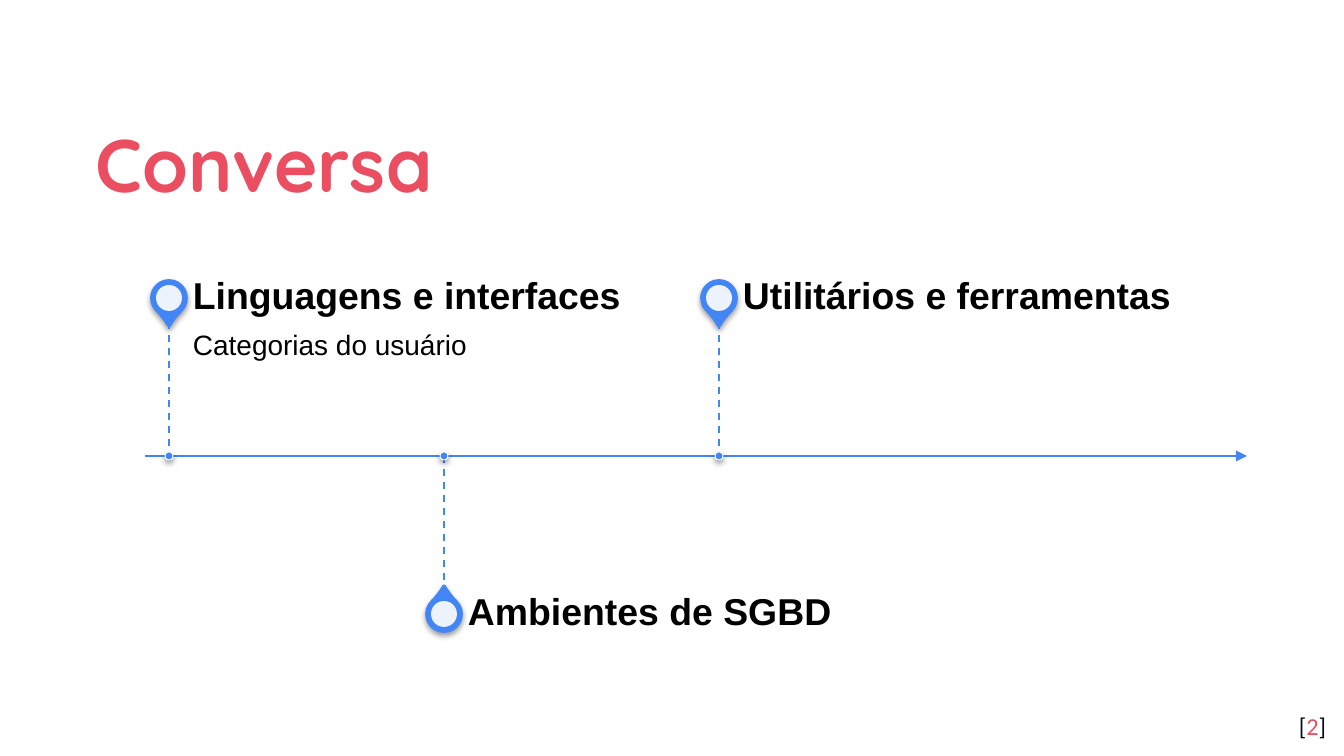
from dataclasses import dataclass

from lxml import etree
from pptx import Presentation
from pptx.dml.color import RGBColor
from pptx.enum.dml import MSO_LINE
from pptx.enum.shapes import MSO_CONNECTOR, MSO_SHAPE
from pptx.enum.text import MSO_ANCHOR, PP_ALIGN
from pptx.oxml.ns import qn
from pptx.util import Emu, Pt

PX = 9144000 / 1344
DASH = MSO_LINE.DASH
STRAIGHT = MSO_CONNECTOR.STRAIGHT
TEARDROP, OVAL = MSO_SHAPE.TEAR, MSO_SHAPE.OVAL
TOP, MIDDLE = MSO_ANCHOR.TOP, MSO_ANCHOR.MIDDLE
LEFT, RIGHT = PP_ALIGN.LEFT, PP_ALIGN.RIGHT


@dataclass(frozen=True)
class Theme:
    """Colours, fonts and type sizes of the slide."""
    accent: str = "EA4E60"
    blue: str = "4285F4"
    white: str = "FFFFFF"
    black: str = "000000"
    navy: str = "040A24"
    title_font: str = "Quicksand"
    body_font: str = "Arial"
    number_font: str = "Calibri"
    title_size: int = 40
    heading_size: int = 20
    detail_size: int = 15
    number_size: int = 13


THEME = Theme()


def px(value):
    """Turn pixels into EMU."""
    return Emu(round(value * PX))


def color(code):
    """Turn a hex code into a colour."""
    return RGBColor.from_string(code)


def add_text(slide, box, runs, font, size, bold=False, align=LEFT,
             anchor=TOP, insets=(13, 13, 13, 13), spacing=1.0):
    """Add a one-paragraph text box from (text, colour) runs."""
    shape = slide.shapes.add_textbox(*map(px, box))
    frame = shape.text_frame
    frame.word_wrap = True
    frame.vertical_anchor = anchor
    (frame.margin_left, frame.margin_top,
     frame.margin_right, frame.margin_bottom) = map(px, insets)
    paragraph = frame.paragraphs[0]
    paragraph.alignment = align
    paragraph.line_spacing = spacing
    paragraph.font.name = font
    paragraph.font.size = Pt(size)
    paragraph.font.bold = bold
    for text, code in runs:
        run = paragraph.add_run()
        run.text = text
        run.font.color.rgb = color(code)


def add_line(slide, start, end, width, dash=None, arrow=False):
    """Add a blue straight line without a shadow."""
    connector = slide.shapes.add_connector(
        STRAIGHT, *map(px, start), *map(px, end))
    connector.line.color.rgb = color(THEME.blue)
    connector.line.width = Pt(width)
    if dash:
        connector.line.dash_style = dash
    if arrow:
        etree.SubElement(connector.line._get_or_add_ln(), qn("a:tailEnd"),
                         type="triangle")
    etree.SubElement(connector._element.spPr, qn("a:effectLst"))


def add_round(slide, kind, center, size, fill, outline=None, width=0):
    """Add a filled shape of equal sides around a centre."""
    x, y = center
    shape = slide.shapes.add_shape(
        kind, px(x - size / 2), px(y - size / 2), px(size), px(size))
    shape.shadow.inherit = False
    shape.fill.solid()
    shape.fill.fore_color.rgb = color(fill)
    if outline:
        shape.line.color.rgb = color(outline)
        shape.line.width = Pt(width)
    else:
        shape.line.fill.background()
    return shape


def add_shadow(shape):
    """Give a shape a soft shadow straight below it."""
    effects = shape._element.spPr.find(qn("a:effectLst"))
    shadow = etree.SubElement(
        effects, qn("a:outerShdw"), blurRad=str(Pt(3.1)), dist=str(Pt(1.6)),
        dir="5400000", algn="bl", rotWithShape="0")
    tint = etree.SubElement(shadow, qn("a:srgbClr"), val=THEME.black)
    etree.SubElement(tint, qn("a:alpha"), val="38000")


def set_opacity(shape, percent):
    """Make the solid fill of a shape partly transparent."""
    tint = shape._element.spPr.find(qn("a:solidFill")).find(qn("a:srgbClr"))
    etree.SubElement(tint, qn("a:alpha"), val=str(percent * 1000))


def add_title(slide, box):
    """Place the slide title."""
    add_text(slide, box, [("Conversa", THEME.accent)], THEME.title_font,
             THEME.title_size, bold=True, anchor=MIDDLE, spacing=1.15)


def add_page_number(slide, box):
    """Place the bracketed page number."""
    runs = [("[", THEME.navy), ("2", THEME.accent), ("]", THEME.navy)]
    add_text(slide, box, runs, THEME.number_font, THEME.number_size,
             align=RIGHT)


def add_stop(slide, x, axis_y, above, heading, detail):
    """Place a pin with its texts, stem and dot on the axis."""
    side = -1 if above else 1
    pin_y = axis_y + side * 158
    text_left = x + 24
    pin = add_round(slide, TEARDROP, (x, pin_y), 34, THEME.blue,
                    THEME.blue, 2)
    pin.adjustments[0] = 1.15
    pin.rotation = 135 if above else 315
    add_shadow(pin)
    set_opacity(add_round(slide, OVAL, (x, pin_y), 26, THEME.white), 90)
    if detail:
        add_text(slide, (text_left, pin_y + 23, 458, 134),
                 [(detail, THEME.black)], THEME.body_font,
                 THEME.detail_size, insets=(0, 13, 13, 22), spacing=0.9)
    add_text(slide, (text_left, pin_y - 24, 458, 47),
             [(heading, THEME.black)], THEME.body_font, THEME.heading_size,
             bold=True, anchor=MIDDLE, insets=(0, 0, 19, 0), spacing=0.9)
    ends = sorted([axis_y, axis_y + side * 134])
    add_line(slide, (x, ends[0]), (x, ends[1]), 1, dash=DASH)
    add_shadow(add_round(slide, OVAL, (x, axis_y), 8, THEME.blue,
                         THEME.white, 0.5))


def add_timeline(slide, box, stops):
    """Place the arrow and its evenly spaced stops, alternating sides."""
    left, top, width, height = box
    axis_y = top + height // 2
    add_line(slide, (left, axis_y), (left + width, axis_y), 1.5, arrow=True)
    for index, (heading, detail) in enumerate(stops):
        add_stop(slide, left + 24 + index * 275, axis_y, index % 2 == 0,
                 heading, detail)


def main():
    """Build and save the presentation."""
    presentation = Presentation()
    presentation.slide_width = px(1344)
    presentation.slide_height = px(756)
    slide = presentation.slides.add_slide(presentation.slide_layouts[6])
    add_title(slide, (83, 94, 1179, 124))
    add_page_number(slide, (1258, 698, 81, 58))
    add_timeline(slide, (145, 274, 1102, 364), [
        ("Linguagens e interfaces", "Categorias do usuário"),
        ("Ambientes de SGBD", None),
        ("Utilitários e ferramentas", None),
    ])
    presentation.save("out.pptx")


if __name__ == "__main__":
    main()
